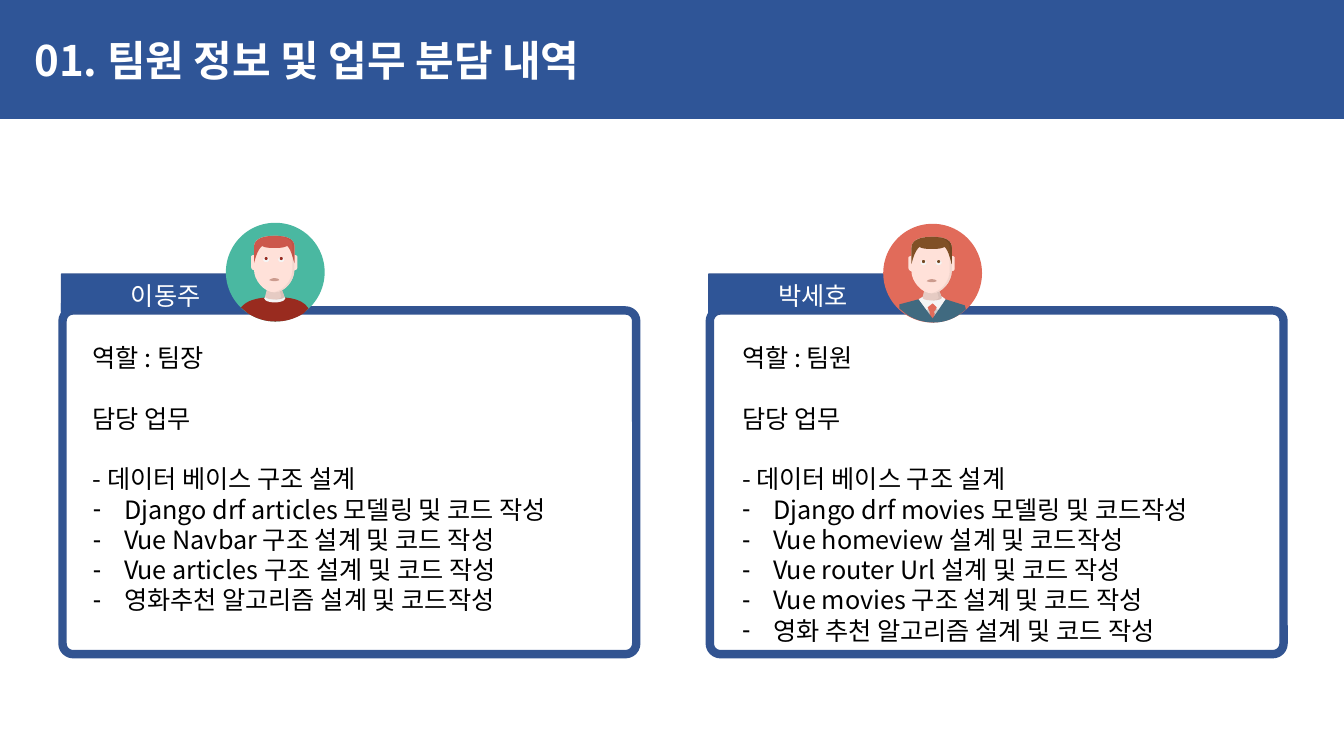
from lxml.etree import SubElement
from pptx import Presentation
from pptx.dml.color import RGBColor
from pptx.enum.shapes import MSO_SHAPE
from pptx.enum.text import MSO_ANCHOR, MSO_AUTO_SIZE, PP_ALIGN
from pptx.oxml.ns import qn
from pptx.util import Inches, Pt

FONT = "Noto Sans CJK KR"
LINE_PITCH = Pt(21.6)
BLUE = RGBColor(0x2F, 0x55, 0x97)
BORDER = RGBColor(0x32, 0x54, 0x91)
WHITE = RGBColor(0xFF, 0xFF, 0xFF)
BLACK = RGBColor(0, 0, 0)
OFF_WHITE = RGBColor(0xF5, 0xF5, 0xF5)
GRAY = RGBColor(0xCC, 0xCC, 0xCC)
TEAL = RGBColor(0x4A, 0xB8, 0xA1)
CORAL = RGBColor(0xE1, 0x6B, 0x5A)
DARK_RED = RGBColor(0x99, 0x2B, 0x1F)
SLATE = RGBColor(0x40, 0x6A, 0x80)
SKIN = RGBColor(0xFF, 0xE1, 0xD9)
SKIN_SHADE = RGBColor(0xF2, 0xD6, 0xCE)
NECK = RGBColor(0xE6, 0xCB, 0xC3)
NECK_SHADE = RGBColor(0xD9, 0xBF, 0xB8)
LIPS = RGBColor(0xCC, 0x9B, 0x8E)
RED_HAIR = RGBColor(0xCC, 0x58, 0x4C)
RED_HAIR_SHADE = RGBColor(0xBF, 0x53, 0x47)
BROWN_HAIR = RGBColor(0x80, 0x50, 0x26)
BROWN_HAIR_SHADE = RGBColor(0x73, 0x48, 0x22)

# Outlines in hundredths of an inch from the avatar's corner:
# pairs are corners, sixes are Bezier curves
SWEATER_PATH = [(45, 74), (49, 74), (54, 74, 75, 73, 82, 85), (77, 90),
                (69, 95, 60, 98, 49, 98), (39, 98, 30, 95, 22, 90),
                (15, 84), (17, 82), (24, 75, 38, 74, 45, 74)]
SHIRT_PATH = [(58, 72), (49, 71), (40, 72), (35, 75), (43, 86), (49, 80),
              (55, 86), (62, 75)]
TIE_PATH = [(49, 79), (53, 83), (51, 87), (50, 87), (51, 89), (50, 97),
            (46, 97), (46, 87), (44, 83)]
JACKET_PATH = [(35, 75), (49, 94), (62, 75), (81, 81), (82, 85), (77, 89),
               (69, 95, 60, 98, 50, 98), (40, 98, 30, 95, 22, 89),
               (16, 84), (16, 80)]
NECK_PATH = [(58, 73), (55, 65), (48, 64), (41, 65), (39, 73),
             (39, 75, 43, 76, 48, 76), (54, 76, 58, 75, 58, 73)]
NECK_SHADE_PATH = [(58, 73), (55, 65), (48, 64), (47, 65), (53, 65), (55, 73),
                   (55, 75, 52, 76, 47, 76), (48, 76),
                   (54, 76, 58, 75, 58, 73)]
FACE_PATH = [(68, 32), (68, 24), (68, 18, 64, 13, 48, 13),
             (33, 13, 28, 18, 28, 24), (28, 32), (28, 32, 25, 32, 25, 34),
             (25, 43), (25, 45, 26, 47, 28, 47), (28, 57, 38, 69, 48, 69),
             (59, 69, 68, 57, 68, 47), (71, 47, 71, 45, 71, 43), (71, 34),
             (71, 32, 68, 32, 68, 32)]
FACE_SHADE_PATH = [(47, 13), (62, 13, 66, 18, 66, 24), (66, 47),
                   (66, 57, 57, 68, 47, 69), (48, 69),
                   (59, 69, 68, 57, 68, 47), (68, 24),
                   (68, 18, 64, 13, 48, 13)]
HAIR_PATH = [(48, 13), (33, 13, 28, 18, 28, 24), (28, 40),
             (29, 37, 31, 27, 36, 23), (39, 25, 44, 25, 48, 25),
             (53, 25, 57, 25, 61, 23), (65, 27, 67, 37, 68, 40), (68, 24),
             (68, 18, 64, 13, 48, 13)]
HAIR_SHADE_PATH = [(47, 13), (62, 13, 66, 18, 66, 24), (66, 32),
                   (67, 35, 68, 39, 68, 40), (68, 24),
                   (68, 18, 64, 13, 48, 13)]
MOUTH_PATH = [(53, 57), (53, 57, 51, 58, 48, 58), (46, 58, 43, 57, 43, 57),
              (44, 56, 46, 55, 48, 55), (51, 55, 53, 56, 53, 57)]


def paint(shape, fill, line=None, width=1):
    shape.shadow.inherit = False
    if fill is None:
        shape.fill.background()
    else:
        shape.fill.solid()
        shape.fill.fore_color.rgb = fill
    if line is None:
        shape.line.fill.background()
    else:
        shape.line.color.rgb = line
        shape.line.width = Pt(width)


def add_preset(shapes, kind, box, fill, line=None, width=1):
    shape = shapes.add_shape(kind, *(Inches(length) for length in box))
    paint(shape, fill, line, width)
    return shape


def set_font(paragraph, size, color, bold=False):
    font = paragraph.font
    font.size, font.bold, font.name = Pt(size), bold, FONT
    font.color.rgb = color
    defaults = paragraph._p.pPr.find(qn("a:defRPr"))
    SubElement(defaults, qn("a:ea")).set("typeface", FONT)


def place(slide, placeholder, box):
    """Position a placeholder and bring it to the front."""
    placeholder.left, placeholder.top, placeholder.width, placeholder.height = (
        Inches(length) for length in box)
    slide.shapes._spTree.append(placeholder._element)
    placeholder.text_frame.auto_size = MSO_AUTO_SIZE.NONE


def flatten(path, steps=8):
    points = [path[0]]
    for segment in path[1:]:
        if len(segment) == 2:
            points.append(segment)
            continue
        controls = [points[-1], segment[:2], segment[2:4], segment[4:]]
        for step in range(1, steps + 1):
            t = step / steps
            weights = ((1 - t) ** 3, 3 * t * (1 - t) ** 2,
                       3 * t * t * (1 - t), t ** 3)
            points.append(tuple(
                sum(weight * point[axis] for weight, point in zip(weights, controls))
                for axis in (0, 1)))
    return points


def add_avatar(slide, left, top, background, hair, hair_shade, pupil, eye_top, suit):
    shapes = slide.shapes.add_group_shape().shapes

    def outline(path, fill):
        points = [(Inches(left + x / 100), Inches(top + y / 100))
                  for x, y in flatten(path)]
        builder = shapes.build_freeform(*points[0])
        builder.add_line_segments(points[1:], close=True)
        paint(builder.convert_to_shape(), fill)

    def preset(kind, x, y, width, height, fill):
        box = (left + x / 100, top + y / 100, width / 100, height / 100)
        add_preset(shapes, kind, box, fill)

    preset(MSO_SHAPE.OVAL, 0, 0, 98, 98, background)
    # Clothes behind the neck
    if suit:
        preset(MSO_SHAPE.RECTANGLE, 38, 77, 21, 17, GRAY)
        outline(SHIRT_PATH, OFF_WHITE)
    else:
        outline(SWEATER_PATH, DARK_RED)
        preset(MSO_SHAPE.OVAL, 38, 71, 21, 8, OFF_WHITE)
    # Head
    for path, fill in ((NECK_PATH, NECK), (NECK_SHADE_PATH, NECK_SHADE),
                       (FACE_PATH, SKIN), (FACE_SHADE_PATH, SKIN_SHADE),
                       (HAIR_PATH, hair), (HAIR_SHADE_PATH, hair_shade),
                       (MOUTH_PATH, LIPS)):
        outline(path, fill)
    for eye_left in (37, 52):
        preset(MSO_SHAPE.OVAL, eye_left, eye_top, 6, 5, OFF_WHITE)
        preset(MSO_SHAPE.OVAL, eye_left + 1.5, eye_top, 3, 3, pupil)
    # Clothes in front of the neck
    if suit:
        outline(TIE_PATH, CORAL)
        outline(JACKET_PATH, SLATE)


def add_card(slide, left, name):
    shapes = slide.shapes.add_group_shape().shapes
    frame = add_preset(shapes, MSO_SHAPE.ROUNDED_RECTANGLE,
                       (left + 0.01, 3.08, 5.69, 3.41), None, BORDER, 6)
    frame.adjustments[0] = 0.031
    tab = add_preset(shapes, MSO_SHAPE.SNIP_ROUND_RECTANGLE,
                     (left, 2.72, 2.12, 0.37), BLUE, BORDER)
    tab.adjustments[0], tab.adjustments[1] = 0.5, 0
    tab._element.spPr.xfrm.set("flipH", "1")
    tab.text_frame.vertical_anchor = MSO_ANCHOR.MIDDLE
    paragraph = tab.text_frame.paragraphs[0]
    paragraph.text, paragraph.alignment = name, PP_ALIGN.CENTER
    set_font(paragraph, 18, WHITE)
    corner = add_preset(shapes, MSO_SHAPE.RIGHT_TRIANGLE,
                        (left, 3.01, 0.14, 0.19), BLUE, BLUE)
    corner._element.spPr.xfrm.set("flipV", "1")


def fill_duties(slide, body, box, role, duties):
    place(slide, body, box)
    frame = body.text_frame
    frame.vertical_anchor = MSO_ANCHOR.TOP
    lines = [f"역할 : {role}", "담당 업무", "- 데이터 베이스 구조 설계", *duties]
    for index, line in enumerate(lines):
        paragraph = frame.paragraphs[0] if index == 0 else frame.add_paragraph()
        paragraph.text = line
        paragraph.line_spacing = LINE_PITCH
        paragraph.space_before = LINE_PITCH if index in (1, 2) else Pt(0)
        properties = paragraph._p.get_or_add_pPr()
        bulleted = index > 2
        indent = Inches(0.31) if bulleted else 0
        properties.set("marL", str(indent))
        properties.set("indent", str(-indent))
        if bulleted:
            SubElement(properties, qn("a:buChar")).set("char", "-")
        else:
            SubElement(properties, qn("a:buNone"))
        set_font(paragraph, 18, BLACK)


def main():
    presentation = Presentation()
    presentation.slide_width, presentation.slide_height = Inches(13.33), Inches(7.5)
    slide = presentation.slides.add_slide(presentation.slide_layouts[3])
    title, left_body, right_body = slide.placeholders

    # Header
    add_preset(slide.shapes, MSO_SHAPE.RECTANGLE, (0, 0, 13.33, 1.18), BLUE)
    place(slide, title, (0.24, 0.29, 5.88, 0.61))
    title.text_frame.word_wrap = False
    title.text_frame.vertical_anchor = MSO_ANCHOR.MIDDLE
    heading = title.text_frame.paragraphs[0]
    heading.text, heading.alignment = "01. 팀원 정보 및 업무 분담 내역", PP_ALIGN.LEFT
    set_font(heading, 30, WHITE, bold=True)

    # Team members
    add_card(slide, 0.61, "이동주")
    add_avatar(slide, 2.24, 2.21, TEAL, RED_HAIR, RED_HAIR_SHADE, DARK_RED, 34, False)
    add_card(slide, 7.03, "박세호")
    add_avatar(slide, 8.76, 2.22, CORAL, BROWN_HAIR, BROWN_HAIR_SHADE,
               BROWN_HAIR_SHADE, 36, True)

    # Duties
    fill_duties(slide, left_body, (0.82, 3.35, 5.3, 3.13), "팀장", [
        "Django drf articles 모델링 및 코드 작성", "Vue Navbar 구조 설계 및 코드 작성",
        "Vue articles 구조 설계 및 코드 작성", "영화추천 알고리즘 설계 및 코드작성"])
    fill_duties(slide, right_body, (7.26, 3.35, 5.25, 3.43), "팀원", [
        "Django drf movies 모델링 및 코드작성", "Vue homeview 설계 및 코드작성",
        "Vue router Url 설계 및 코드 작성", "Vue movies 구조 설계 및 코드 작성",
        "영화 추천 알고리즘 설계 및 코드 작성"])
    presentation.save("out.pptx")


if __name__ == "__main__":
    main()
